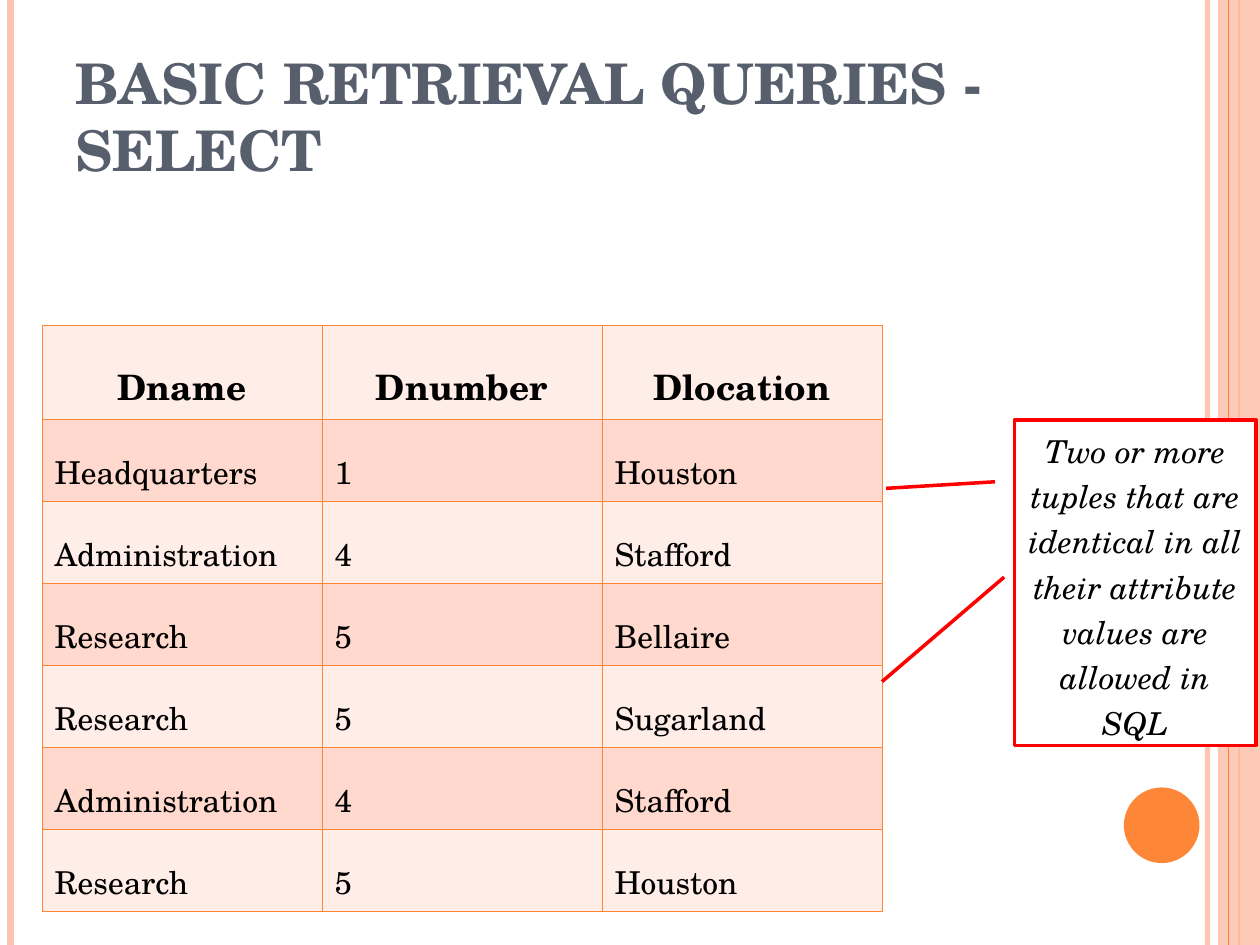
import pptx
import pptx.util
import pptx.dml.color
import pptx.enum.shapes
import pptx.enum.text
import pptx.oxml
import pptx.oxml.ns
from dataclasses import dataclass
from lxml import etree

TITLE = "BASIC RETRIEVAL QUERIES - SELECT"
NOTE = ("Two or more tuples that are identical in all their attribute "
        "values are allowed in SQL")
LOCATIONS = [
    ("Dname", "Dnumber", "Dlocation"),
    ("Headquarters", "1", "Houston"),
    ("Administration", "4", "Stafford"),
    ("Research", "5", "Bellaire"),
    ("Research", "5", "Sugarland"),
    ("Administration", "4", "Stafford"),
    ("Research", "5", "Houston"),
]


@dataclass(frozen=True)
class Theme:
    font: str = "TeX Gyre Schola"
    title_size: float = 32
    header_size: float = 20
    body_size: float = 18
    title: str = "575F6D"
    ink: str = "000000"
    white: str = "FFFFFF"
    accent: str = "FE8637"
    pale_accent: str = "FEC3AE"
    bands: tuple = ("FFEDE8", "FFD9CE")
    alert: str = "FF0000"


THEME = Theme()
PAGE_WIDTH, PAGE_HEIGHT = 720, 540
STRIPES_BEHIND = [(690, THEME.pale_accent, 3, 93),
                  (6, THEME.pale_accent, 4.5, 100),
                  (708, THEME.accent, 1.5, 100)]
STRIPES_IN_FRONT = [(702, THEME.accent, 0.75, 100)]
BAND_BOX = (696, 0, 24, PAGE_HEIGHT)
DOT_BOX = (642.24, 450, 43.2, 43.2)
TITLE_BOX = (36, 18, 588.24, 90)
TABLE_LEFT, TABLE_TOP, TABLE_WIDTH = 24, 186, 480
HEADER_HEIGHT, ROW_HEIGHT = 53.6, 46.86
NOTE_BOX = (579.6, 240, 138.24, 186)
NOTE_POINTER = (0.19, -0.08, 0.21, -0.53)
SECOND_POINTER = (573.84, 329.76, 504, 389.52)
Pt = pptx.util.Pt
SHAPES = pptx.enum.shapes.MSO_SHAPE
ALIGN = pptx.enum.text.PP_ALIGN
ANCHOR = pptx.enum.text.MSO_ANCHOR


def color(value):
    return pptx.dml.color.RGBColor.from_string(value)


def points(lengths):
    return [Pt(length) for length in lengths]


def set_opacity(element, percent):
    if percent < 100:
        for tint in element.iter(pptx.oxml.ns.qn("a:srgbClr")):
            alpha = etree.SubElement(tint, pptx.oxml.ns.qn("a:alpha"))
            alpha.set("val", str(percent * 1000))


def add_line(page, ends, tint, width, opacity=100):
    line = page.shapes.add_connector(
        pptx.enum.shapes.MSO_CONNECTOR.STRAIGHT, *points(ends))
    line.line.color.rgb = color(tint)
    line.line.width = Pt(width)
    properties = line._element.spPr
    set_opacity(properties, opacity)
    etree.SubElement(properties, pptx.oxml.ns.qn("a:effectLst"))


def add_stripes(page, stripes):
    for left, tint, width, opacity in stripes:
        add_line(page, (left, 0, left, PAGE_HEIGHT), tint, width, opacity)


def add_filled(page, kind, box, tint, opacity=100):
    shape = page.shapes.add_shape(kind, *points(box))
    shape.shadow.inherit = False
    shape.fill.solid()
    shape.fill.fore_color.rgb = color(tint)
    shape.line.fill.background()
    set_opacity(shape._element.spPr, opacity)
    return shape


def write(frame, text, size, tint=THEME.ink, bold=False, italic=False,
          align=ALIGN.LEFT, spacing=1.0):
    para = frame.paragraphs[0]
    para.text = text
    para.alignment = align
    para.line_spacing = spacing
    font = para.font
    font.name, font.size = THEME.font, Pt(size)
    font.bold, font.italic = bold, italic
    font.color.rgb = color(tint)


def add_borders(cell):
    properties = cell._tc.get_or_add_tcPr()
    for index, side in enumerate(("lnL", "lnR", "lnT", "lnB")):
        border = pptx.oxml.parse_xml(
            f'<a:{side} {pptx.oxml.ns.nsdecls("a")} w="{Pt(0.45)}">'
            f'<a:solidFill><a:srgbClr val="{THEME.accent}"/></a:solidFill>'
            f'</a:{side}>')
        properties.insert(index, border)


def add_locations(page):
    row_count, column_count = len(LOCATIONS), len(LOCATIONS[0])
    height = HEADER_HEIGHT + ROW_HEIGHT * (row_count - 1)
    table = page.shapes.add_table(
        row_count, column_count,
        *points((TABLE_LEFT, TABLE_TOP, TABLE_WIDTH, height))).table
    for column in table.columns:
        column.width = Pt(TABLE_WIDTH / column_count)
    for row_index, values in enumerate(LOCATIONS):
        header = row_index == 0
        table.rows[row_index].height = Pt(HEADER_HEIGHT if header else ROW_HEIGHT)
        for column_index, value in enumerate(values):
            cell = table.cell(row_index, column_index)
            cell.fill.solid()
            cell.fill.fore_color.rgb = color(THEME.bands[row_index % 2])
            add_borders(cell)
            write(cell.text_frame, value,
                  THEME.header_size if header else THEME.body_size,
                  bold=header, align=ALIGN.CENTER if header else ALIGN.LEFT,
                  spacing=1.5)


def add_title(page):
    frame = page.shapes.add_textbox(*points(TITLE_BOX)).text_frame
    frame.word_wrap = True
    frame.vertical_anchor = ANCHOR.BOTTOM
    write(frame, TITLE, THEME.title_size, THEME.title, bold=True)


def add_note(page):
    note = add_filled(page, SHAPES.LINE_CALLOUT_1, NOTE_BOX, THEME.white)
    for index, value in enumerate(NOTE_POINTER):
        note.adjustments[index] = value
    note.line.color.rgb = color(THEME.alert)
    note.line.width = Pt(2)
    note.text_frame.word_wrap = True
    note.text_frame.vertical_anchor = ANCHOR.MIDDLE
    write(note.text_frame, NOTE, THEME.body_size, italic=True,
          align=ALIGN.CENTER, spacing=1.2)
    add_line(page, SECOND_POINTER, THEME.alert, 2)


def main():
    deck = pptx.Presentation()
    deck.slide_width, deck.slide_height = Pt(PAGE_WIDTH), Pt(PAGE_HEIGHT)
    page = deck.slides.add_slide(deck.slide_layouts[6])
    add_stripes(page, STRIPES_BEHIND)
    add_filled(page, SHAPES.RECTANGLE, BAND_BOX, THEME.pale_accent, 87)
    add_stripes(page, STRIPES_IN_FRONT)
    add_filled(page, SHAPES.OVAL, DOT_BOX, THEME.accent)
    add_title(page)
    add_locations(page)
    add_note(page)
    deck.save("out.pptx")


if __name__ == "__main__":
    main()
